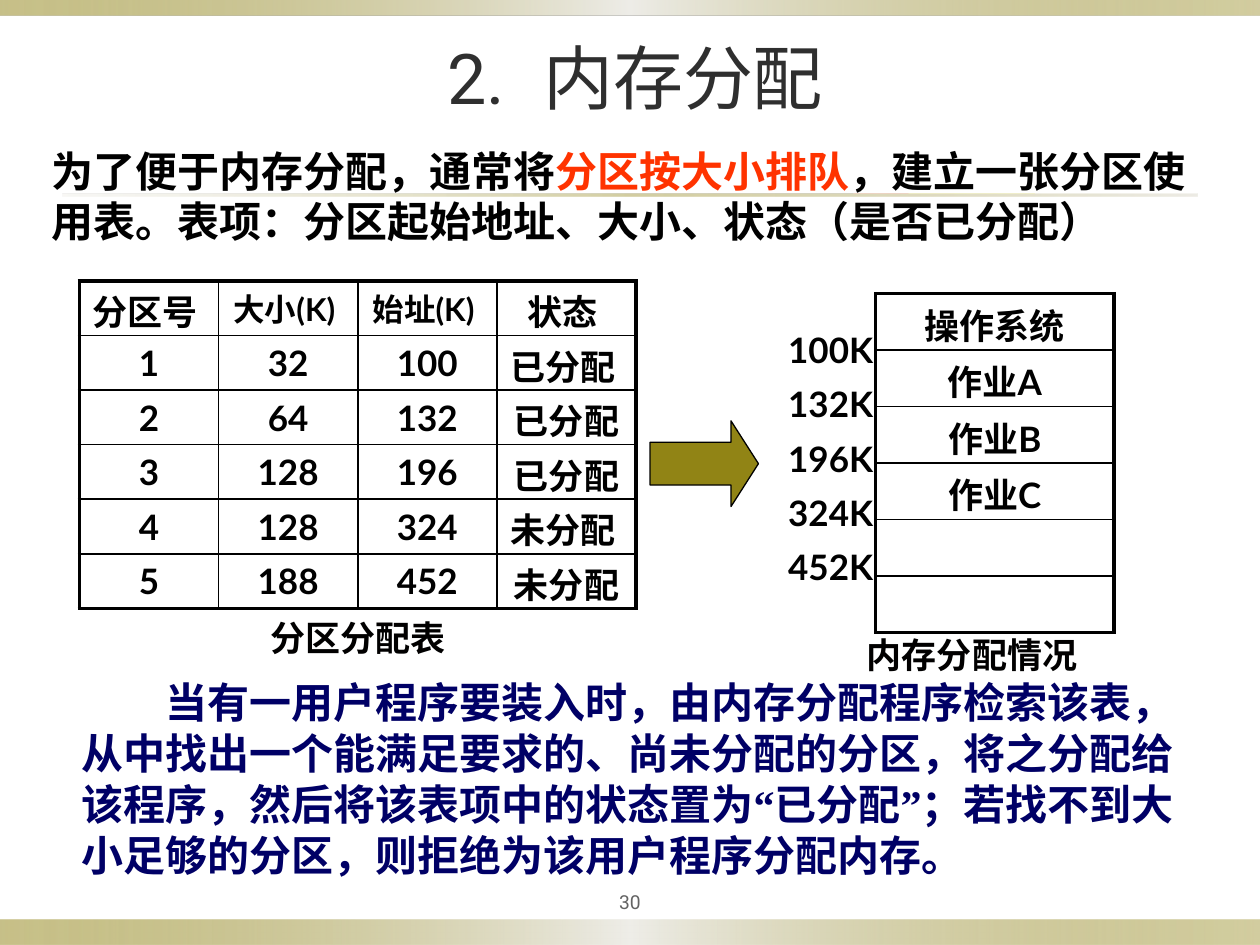
import pptx
import pptx.util
import pptx.dml.color
import pptx.enum.shapes
import pptx.enum.text
import pptx.oxml
import pptx.oxml.ns
from lxml import etree

Inches, Pt = pptx.util.Inches, pptx.util.Pt
ALIGN, ANCHOR = pptx.enum.text.PP_ALIGN, pptx.enum.text.MSO_ANCHOR
SHAPE = pptx.enum.shapes.MSO_SHAPE
qn = pptx.oxml.ns.qn

COLORS = {"black": "000000", "caption": "010000", "title": "2F2F2F", "number": "636363",
          "red": "FF3300", "navy": "000066", "olive": "918415", "pale": "EEEDE8", "sand": "DCD9CC"}
CJK, LATO, ROBOTO, TIMES = "Noto Sans CJK SC", "Lato", "Roboto", "Times New Roman"
THIN, THICK = 1, 2.25
BAR = [(0, "olive", 50), (50, "pale", 100), (100, "olive", 40)]
RULE = [(0, "sand", 20), (50, "olive", 40), (100, "sand", 50)]


def rgb(name):
    return pptx.dml.color.RGBColor.from_string(COLORS[name])


def add_run(p, text, font, size, color, bold=True, spacing=0):
    r = p.add_run()
    r.text = text
    for key, value in {"name": font, "size": Pt(size), "bold": bold}.items():
        setattr(r.font, key, value)
    r.font.color.rgb = rgb(color)
    rPr = r._r.get_or_add_rPr()
    east = TIMES if font == TIMES else CJK
    rPr.find(qn("a:latin")).addnext(rPr.makeelement(qn("a:ea"), {"typeface": east}))
    if spacing:
        rPr.set("spc", str(spacing * 100))


def add_text(s, box, paragraphs, frame=None, para=None, gap=0, indent=0):
    tf = s.shapes.add_textbox(*map(Inches, box)).text_frame
    tf.word_wrap = True
    for key, value in (frame or {}).items():
        setattr(tf, key, value)
    for i, runs in enumerate(paragraphs):
        p = tf.add_paragraph() if i else tf.paragraphs[0]
        for key, value in (para or {}).items():
            setattr(p, key, value)
        if i and gap:
            p.space_before = Pt(gap)
        if indent:
            p._p.get_or_add_pPr().set("indent", str(Pt(indent)))
        for run in runs:
            add_run(p, *run)


def add_band(s, box, stops):
    sp = s.shapes.add_shape(SHAPE.RECTANGLE, *map(Inches, box))
    sp.shadow.inherit = False
    sp.line.fill.background()
    sp.fill.gradient()
    sp.fill.gradient_angle = 0
    gs_list = sp._element.spPr.find(qn("a:gradFill")).find(qn("a:gsLst"))
    for gs in list(gs_list):
        gs_list.remove(gs)
    for pos, color, alpha in stops:
        gs = etree.SubElement(gs_list, qn("a:gs"), pos=str(pos * 1000))
        clr = etree.SubElement(gs, qn("a:srgbClr"), val=COLORS[color])
        etree.SubElement(clr, qn("a:alpha"), val=str(alpha * 1000))


def set_borders(cell, widths):
    tcPr = cell._tc.get_or_add_tcPr()
    for i, (side, width) in enumerate(zip(("lnL", "lnR", "lnT", "lnB"), widths)):
        ln = tcPr.makeelement(qn("a:" + side), {"w": str(Pt(width))})
        fill = etree.SubElement(ln, qn("a:solidFill"))
        etree.SubElement(fill, qn("a:srgbClr"), val=COLORS["black"])
        tcPr.insert(i, ln)


def add_grid(s, box, rows, cjk_top):
    n_rows, n_cols = len(rows), len(rows[0])
    table = s.shapes.add_table(n_rows, n_cols, *map(Inches, box)).table
    table.first_row = table.horz_banding = False
    for col in table.columns:
        col.width = Inches(box[2] / n_cols)
    for i, row in enumerate(rows):
        table.rows[i].height = Inches(box[3] / n_rows)
        for j, runs in enumerate(row):
            cell = table.cell(i, j)
            cell.fill.background()
            top = 0.05 if all(text.isdigit() for text, *_ in runs) else cjk_top
            margins = {"left": 0.05, "right": 0.05, "top": top, "bottom": 0}
            for side, value in margins.items():
                setattr(cell, "margin_" + side, Inches(value))
            edges = (j == 0, j == n_cols - 1, i == 0, i == n_rows - 1)
            set_borders(cell, [THICK if edge else THIN for edge in edges])
            p = cell.text_frame.paragraphs[0]
            p.alignment = ALIGN.CENTER
            for run in runs:
                add_run(p, *run)


def add_caption(s, box, text):
    add_text(s, box, [[(text, LATO, 20, "caption")]],
             para={"alignment": ALIGN.CENTER, "line_spacing": Pt(24)})


def add_frame(s):
    for box, stops in (((0, 7.3, 10, 0.2), BAR), ((0, 0, 10, 0.12), BAR), ((0.5, 1.54, 9, 0.02), RULE)):
        add_band(s, box, stops)
    middle = {"vertical_anchor": ANCHOR.MIDDLE}
    center = {"alignment": ALIGN.CENTER}
    add_text(s, (0.54, -0.02, 9, 1.25), [[("2.", ROBOTO, 40, "title", False),
                                         (" ", ROBOTO, 40, "title", False, 12),
                                         ("内存分配", CJK, 40, "title", False)]], middle, center)
    add_text(s, (4.5, 7, 1, 0.31), [[("30", ROBOTO, 11, "number", False)]], middle, center)


def add_partition_table(s, x, y, w, h):
    header = [[("分区号 ", CJK, 20, "black")]]
    header += [[(name, CJK, 18, "black"), ("(K) ", LATO, 18, "black")] for name in ("大小", "始址")]
    header += [[("状态 ", CJK, 20, "black")]]
    data = [("1", "32", "100", "已分配 "), ("2", "64", "132", "已分配"), ("3", "128", "196", "已分配"),
            ("4", "128", "324", "未分配 "), ("5", "188", "452", "未分配")]
    body = [[[(text, LATO if text.isdigit() else CJK, 20, "black")] for text in row] for row in data]
    add_grid(s, (x, y, w, h), [header] + body, 0.03)
    add_caption(s, (x, y + h + 0.01, w, 0.43), "分区分配表")


def add_memory_map(s, x, y, w, h):
    jobs = ["操作系统", "作业A", "作业B", "作业C", "", ""]
    add_grid(s, (x, y, w, h), [[[(job, LATO, 20, "black")] if job else []] for job in jobs], 0.04)
    addresses = ["100K", "132K", "196K", "324K", "452K"]
    add_text(s, (x - 1.25, y + 0.23, 1.25, 2.23), [[(a, LATO, 20, "black")] for a in addresses],
             {"margin_right": Inches(0.02)}, {"alignment": ALIGN.RIGHT}, gap=7)
    add_caption(s, (x - 1.14, y + h - 0.04, 3.81, 0.43), "内存分配情况")


def add_arrow(s, box):
    sp = s.shapes.add_shape(SHAPE.RIGHT_ARROW, *map(Inches, box))
    sp.shadow.inherit = False
    sp.adjustments[0], sp.adjustments[1] = 0.5, 0.32
    sp.fill.solid()
    sp.fill.fore_color.rgb = rgb("olive")
    sp.line.color.rgb = rgb("black")
    sp.line.width = Pt(0.75)


def add_intro(s, box):
    parts = [("为了便于内存分配，通常将", "black"), ("分区按大小排队", "red"),
             ("，建立一张分区使用表。表项：分区起始地址、大小、状态（是否已分配）", "black")]
    add_text(s, box, [[(text, CJK, 24, color) for text, color in parts]], para={"line_spacing": Pt(29)})


def add_summary(s, box):
    parts = [("当有一用户程序要装入时，由内存分配程序检索该表，从中找出一个能满足要求的、"
              "尚未分配的分区，将之分配给该程序，然后将该表项中的状态置为", CJK),
             ("“", TIMES), ("已分配", CJK), ("”", TIMES),
             ("；若找不到大小足够的分区，则拒绝为该用户程序分配内存。", CJK)]
    add_text(s, box, [[(text, font, 24, "navy") for text, font in parts]],
             para={"line_spacing": Pt(29)}, indent=48)


def main():
    prs = pptx.Presentation()
    prs.slide_width, prs.slide_height = Inches(10), Inches(7.5)
    s = prs.slides.add_slide(prs.slide_layouts[6])
    add_frame(s)
    add_intro(s, (0.31, 1.1, 9.3, 0.91))
    add_partition_table(s, 0.63, 2.23, 4.42, 2.6)
    add_memory_map(s, 6.95, 2.33, 1.89, 2.69)
    add_arrow(s, (5.16, 3.34, 0.86, 0.68))
    add_summary(s, (0.55, 5.32, 9.15, 1.7))
    prs.save("out.pptx")


if __name__ == "__main__":
    main()
